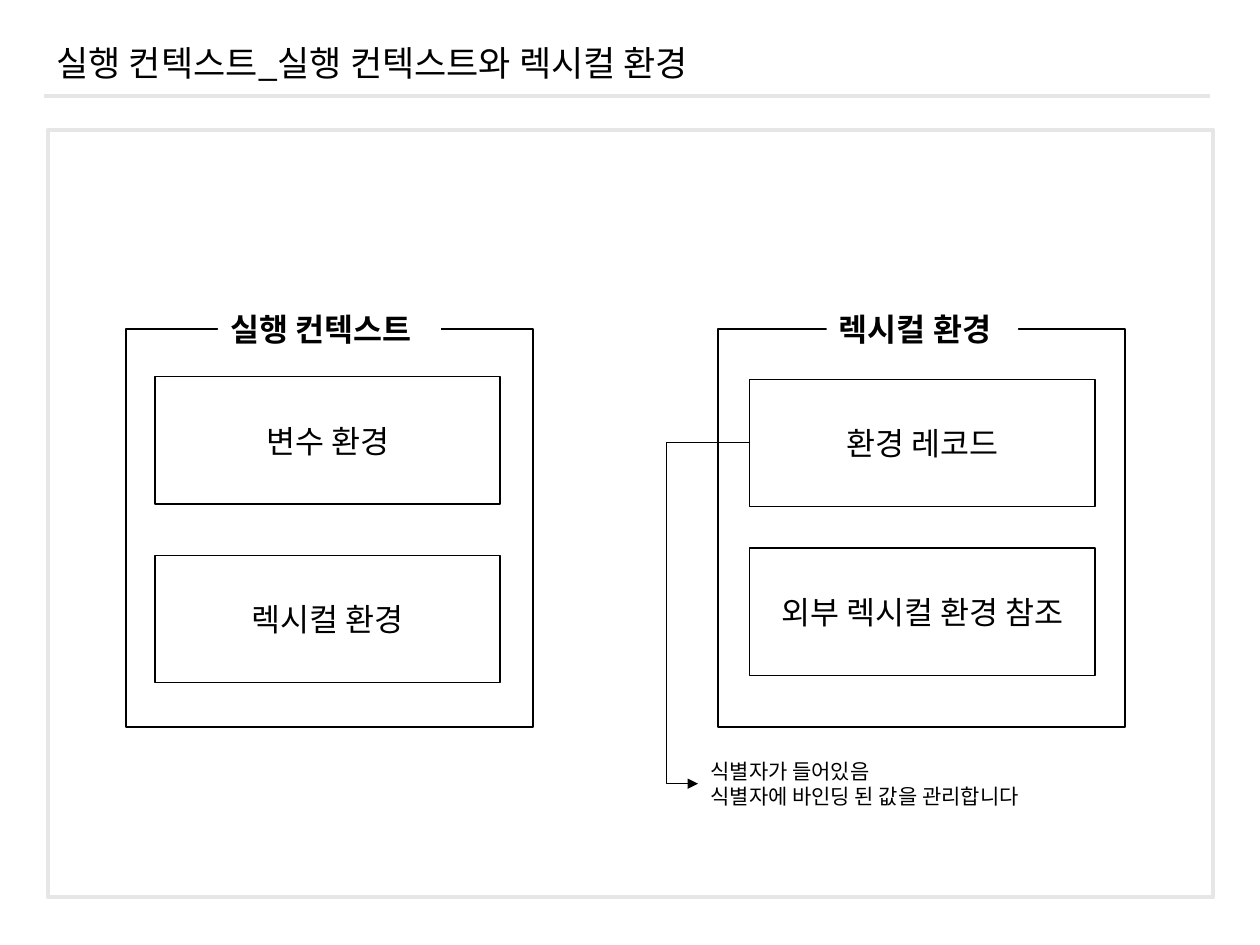
from lxml.etree import SubElement
from pptx import Presentation
from pptx.dml.color import RGBColor
from pptx.enum.shapes import MSO_CONNECTOR, MSO_SHAPE
from pptx.enum.text import MSO_ANCHOR, MSO_AUTO_SIZE, PP_ALIGN
from pptx.oxml.ns import qn
from pptx.util import Inches, Pt

KOREAN, LATIN = "Noto Sans CJK KR", "Calibri"
BLACK, WHITE, GREY = "000000", "FFFFFF", "E7E6E6"
TITLE = "실행 컨텍스트_실행 컨텍스트와 렉시컬 환경"
PANELS = [
    {"left": 1, "label": "실행 컨텍스트", "label_at": (1.73, 1.77), "inset": 0.23,
     "parts": [("변수 환경", 2.99), ("렉시컬 환경", 4.41)]},
    {"left": 5.7, "label": "렉시컬 환경", "label_at": (6.56, 1.52), "inset": 0.25,
     "parts": [("환경 레코드", 3.01), ("외부 렉시컬 환경 참조", 4.35)]},
]
NOTE = ["식별자가 들어있음", "식별자에 바인딩 된 값을 관리합니다"]


def color(value):
    return RGBColor.from_string(value)


def write(holder, lines, size, font=LATIN, bold=False, align=PP_ALIGN.LEFT, anchor=MSO_ANCHOR.TOP):
    frame = holder.text_frame
    frame.word_wrap = True
    frame.auto_size = MSO_AUTO_SIZE.NONE
    frame.vertical_anchor = anchor
    for index, line in enumerate(lines):
        paragraph = frame.add_paragraph() if index else frame.paragraphs[0]
        paragraph.alignment = align
        run = paragraph.add_run()
        run.text = line
        run.font.size, run.font.bold, run.font.name = Pt(size), bold, font
        run.font.color.rgb = color(BLACK)
        SubElement(run.font._element, qn("a:ea"), typeface=KOREAN)


def add_box(shapes, place, fill=None, line=None, width=0.75):
    box = shapes.add_shape(MSO_SHAPE.RECTANGLE, *map(Inches, place))
    box.shadow.inherit = False
    if fill:
        box.fill.solid()
        box.fill.fore_color.rgb = color(fill)
    else:
        box.fill.background()
    if line:
        box.line.color.rgb = color(line)
        box.line.width = Pt(width)
    else:
        box.line.fill.background()
    return box


def add_line(shapes, kind, ends, line, width):
    connector = shapes.add_connector(kind, *map(Inches, ends))
    connector.line.color.rgb = color(line)
    connector.line.width = Pt(width)
    SubElement(connector._element.spPr, qn("a:effectLst"))
    return connector


def add_panel(shapes, panel):
    add_box(shapes, (panel["left"], 2.61, 3.23, 3.16), line=BLACK, width=1)
    label_left, label_width = panel["label_at"]
    label = add_box(shapes, (label_left, 2.41, label_width, 0.4), fill=WHITE)
    write(label, [panel["label"]], 18, bold=True)
    parts = []
    for name, top in panel["parts"]:
        part = add_box(shapes, (panel["left"] + panel["inset"], top, 2.74, 1.01), WHITE, BLACK)
        write(part, [name], 18, align=PP_ALIGN.CENTER, anchor=MSO_ANCHOR.MIDDLE)
        parts.append(part)
    return parts


def add_note(shapes, record):
    note = shapes.add_textbox(*map(Inches, (5.54, 5.97, 2.88, 0.5)))
    write(note, NOTE, 12)
    arrow = add_line(shapes, MSO_CONNECTOR.ELBOW, (5.95, 3.52, 5.54, 6.22), BLACK, 0.5)
    arrow.begin_connect(record, 1)
    arrow.end_connect(note, 1)
    SubElement(arrow.line._get_or_add_ln(), qn("a:tailEnd"), type="triangle")
    bend = arrow._element.spPr.find(qn("a:prstGeom")).find(qn("a:avLst"))
    SubElement(bend, qn("a:gd"), name="adj1", fmla="val 161500")


def main():
    """Build the slide on execution contexts and lexical environments."""
    deck = Presentation()
    deck.slide_width, deck.slide_height = Inches(10), Inches(7.5)
    slide = deck.slides.add_slide(deck.slide_layouts[5])
    title = slide.shapes.title
    title.left, title.top, title.width, title.height = map(Inches, (0.35, 0.28, 9.25, 0.44))
    write(title, [TITLE], 20, font=KOREAN)
    add_box(slide.shapes, (0.38, 1.03, 9.25, 6.09), WHITE, GREY, 2.25)
    add_line(slide.shapes, MSO_CONNECTOR.STRAIGHT, (0.35, 0.76, 9.6, 0.76), GREY, 2.25)
    context, lexical = PANELS
    add_panel(slide.shapes.add_group_shape().shapes, context)
    lexical_shapes = slide.shapes.add_group_shape().shapes
    record, _ = add_panel(lexical_shapes, lexical)
    add_note(lexical_shapes, record)
    deck.save("out.pptx")


if __name__ == "__main__":
    main()
